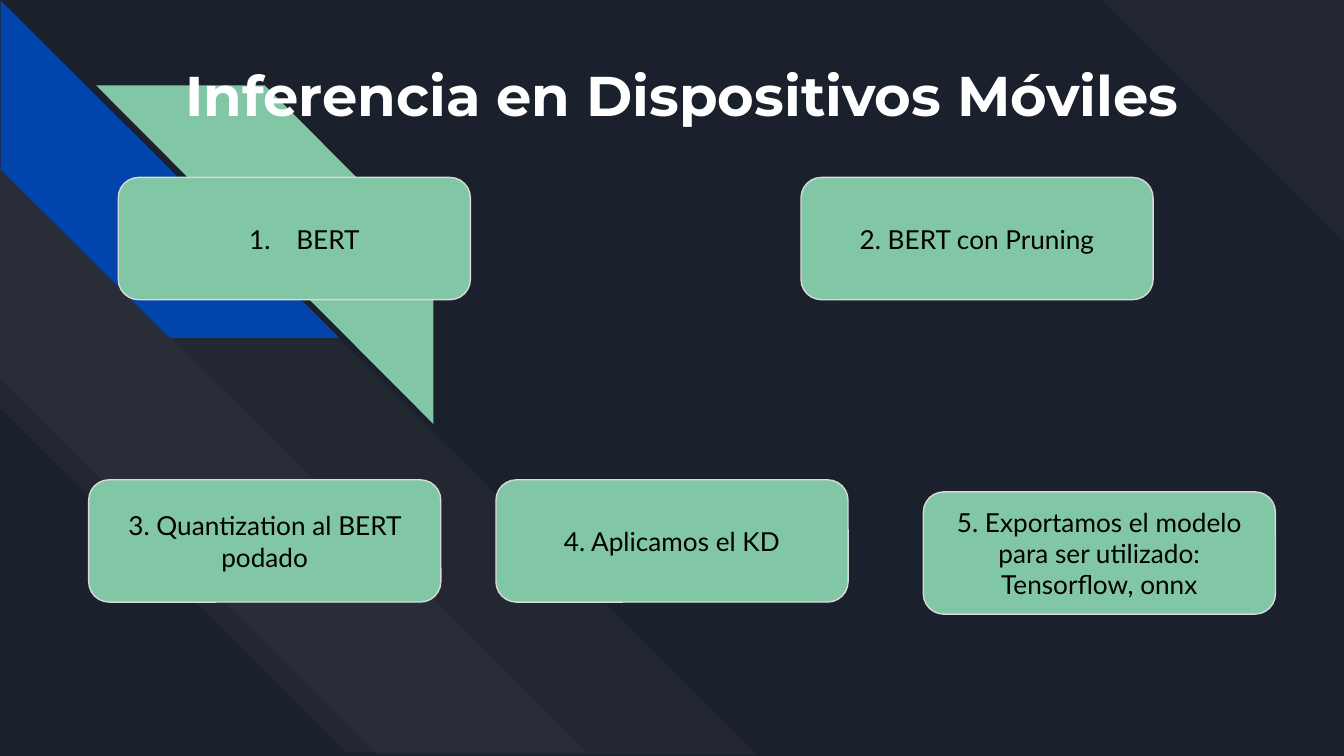
from lxml.etree import SubElement
from pptx import Presentation
from pptx.dml.color import RGBColor
from pptx.enum.shapes import MSO_SHAPE
from pptx.enum.text import MSO_ANCHOR, MSO_AUTO_SIZE, PP_ALIGN
from pptx.oxml.ns import qn
from pptx.util import Inches, Pt

NAVY, WHITE, BLACK = "1B212C", "FFFFFF", "000000"
BLUE, GREEN, GREY = "0145AC", "82C7A5", "D9D9D9"
CARD_WIDTH, CARD_HEIGHT = 2.62, 0.91


def color(code):
    return RGBColor.from_string(code)


def place(shape, left, top, width, height):
    shape.left, shape.top = Inches(left), Inches(top)
    shape.width, shape.height = Inches(width), Inches(height)


def write(shape, text, font="Lato", size=14, ink=BLACK, bold=False,
          anchor=MSO_ANCHOR.MIDDLE):
    """Fill the shape with one centred paragraph and return it."""
    frame = shape.text_frame
    frame.word_wrap = True
    frame.auto_size = MSO_AUTO_SIZE.NONE
    frame.vertical_anchor = anchor
    frame.margin_left = frame.margin_right = Inches(0.1)
    frame.margin_top = frame.margin_bottom = Inches(0.1)
    para = frame.paragraphs[0]
    para.alignment = PP_ALIGN.CENTER
    span = para.add_run()
    span.text = text
    span.font.name, span.font.size, span.font.bold = font, Pt(size), bold
    span.font.color.rgb = color(ink)
    return para


def number(para):
    """Turn the paragraph into an automatically numbered item."""
    props = para._p.get_or_add_pPr()
    props.set("marL", str(Inches(0.5)))
    props.set("indent", str(Inches(-0.35)))
    bullet_color = SubElement(props, qn("a:buClr"))
    SubElement(bullet_color, qn("a:srgbClr"), val=BLACK)
    SubElement(props, qn("a:buAutoNum"), type="arabicPeriod")


def add_stripe(page, box, rotation, cut, fill, opacity=100):
    stripe = page.shapes.add_shape(
        MSO_SHAPE.DIAGONAL_STRIPE, *(Inches(length) for length in box))
    stripe.shadow.inherit = False
    stripe.rotation = rotation
    stripe.adjustments[0] = cut
    stripe.fill.solid()
    stripe.fill.fore_color.rgb = color(fill)
    stripe.line.fill.background()
    if opacity < 100:
        tint = stripe._element.spPr.find(".//" + qn("a:srgbClr"))
        SubElement(tint, qn("a:alpha"), val=str(opacity * 1000))


def add_backdrop(page):
    page.background.fill.solid()
    page.background.fill.fore_color.rgb = color(NAVY)
    add_stripe(page, (8.2, 0, 1.8, 1.8), 90, 0, WHITE, 3)
    add_stripe(page, (0.01, -0.01, 5.61, 5.64), 270, 0.5, WHITE, 3)
    add_stripe(page, (0.01, 1.24, 4.35, 4.37), 270, 0.59, WHITE, 3)
    add_stripe(page, (0.01, 0, 2.51, 2.52), 270, 0.5, BLUE)
    add_stripe(page, (0.71, 0.64, 2.52, 2.51), 90, 0.5, GREEN)


def add_title(page, text, box):
    title = page.shapes.title
    place(title, *box)
    write(title, text, font="Montserrat", size=30, ink=WHITE, bold=True,
          anchor=MSO_ANCHOR.TOP)
    tree = page.shapes._spTree
    tree.remove(title._element)
    tree.append(title._element)  # in front of the stripes


def add_card(page, text, left, top):
    card = page.shapes.add_shape(
        MSO_SHAPE.ROUNDED_RECTANGLE, Inches(left), Inches(top),
        Inches(CARD_WIDTH), Inches(CARD_HEIGHT))
    card.shadow.inherit = False
    card.fill.solid()
    card.fill.fore_color.rgb = color(GREEN)
    card.line.color.rgb = color(GREY)
    card.line.width = Pt(0.75)
    return write(card, text)


def main():
    deck = Presentation()
    deck.slide_width = Inches(10)
    deck.slide_height = deck.slide_width * 9 // 16
    page = deck.slides.add_slide(deck.slide_layouts[5])
    add_backdrop(page)
    add_title(page, "Inferencia en Dispositivos Móviles", (0.88, 0.35, 8.39, 0.96))
    number(add_card(page, "BERT", 0.88, 1.32))
    for text, left, top in (
        ("2. BERT con Pruning", 5.96, 1.32),
        ("3. Quantization al BERT podado", 0.66, 3.57),
        ("4. Aplicamos el KD", 3.69, 3.57),
        ("5. Exportamos el modelo para ser utilizado: Tensorflow, onnx", 6.87, 3.66),
    ):
        add_card(page, text, left, top)
    deck.save("out.pptx")


if __name__ == "__main__":
    main()
